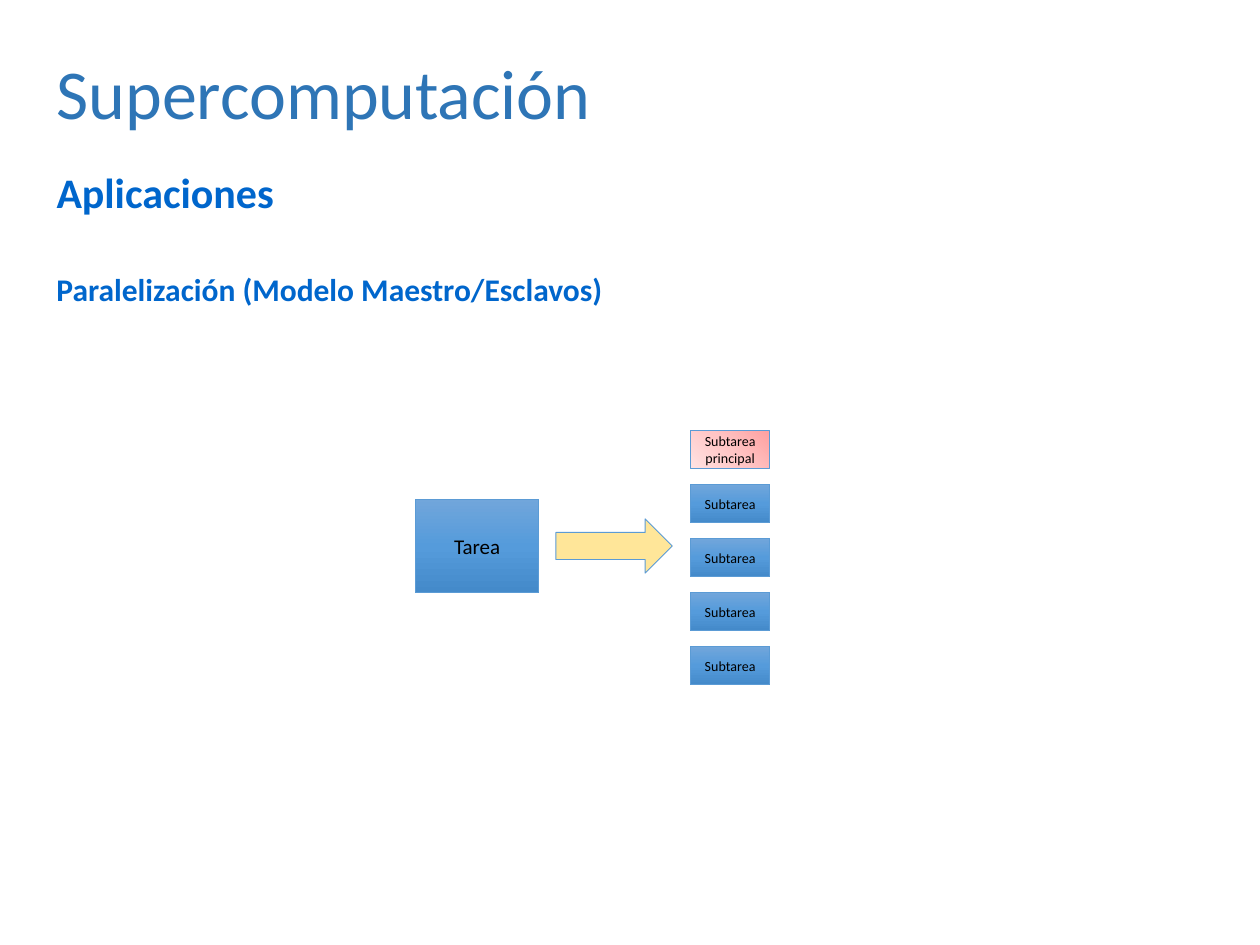
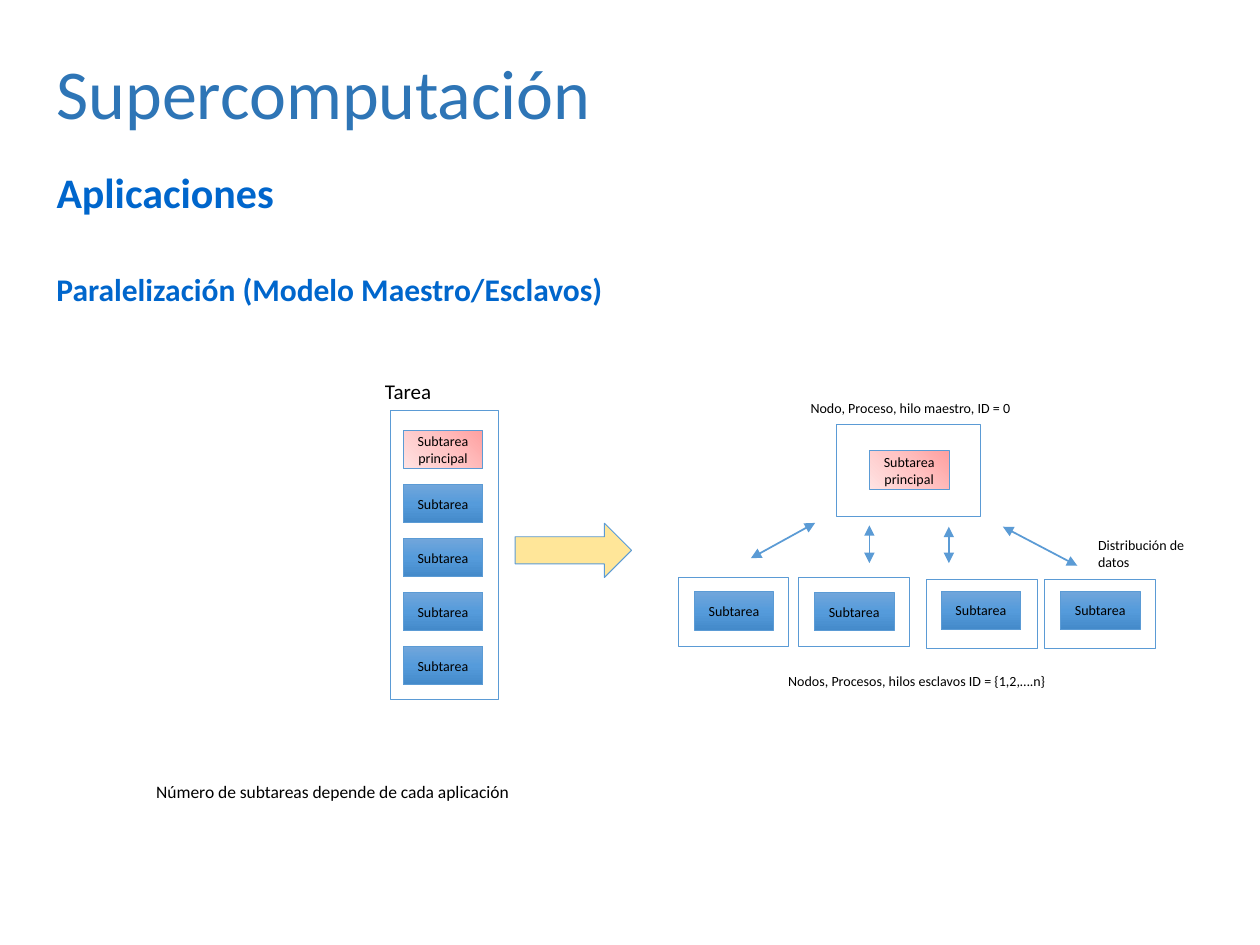
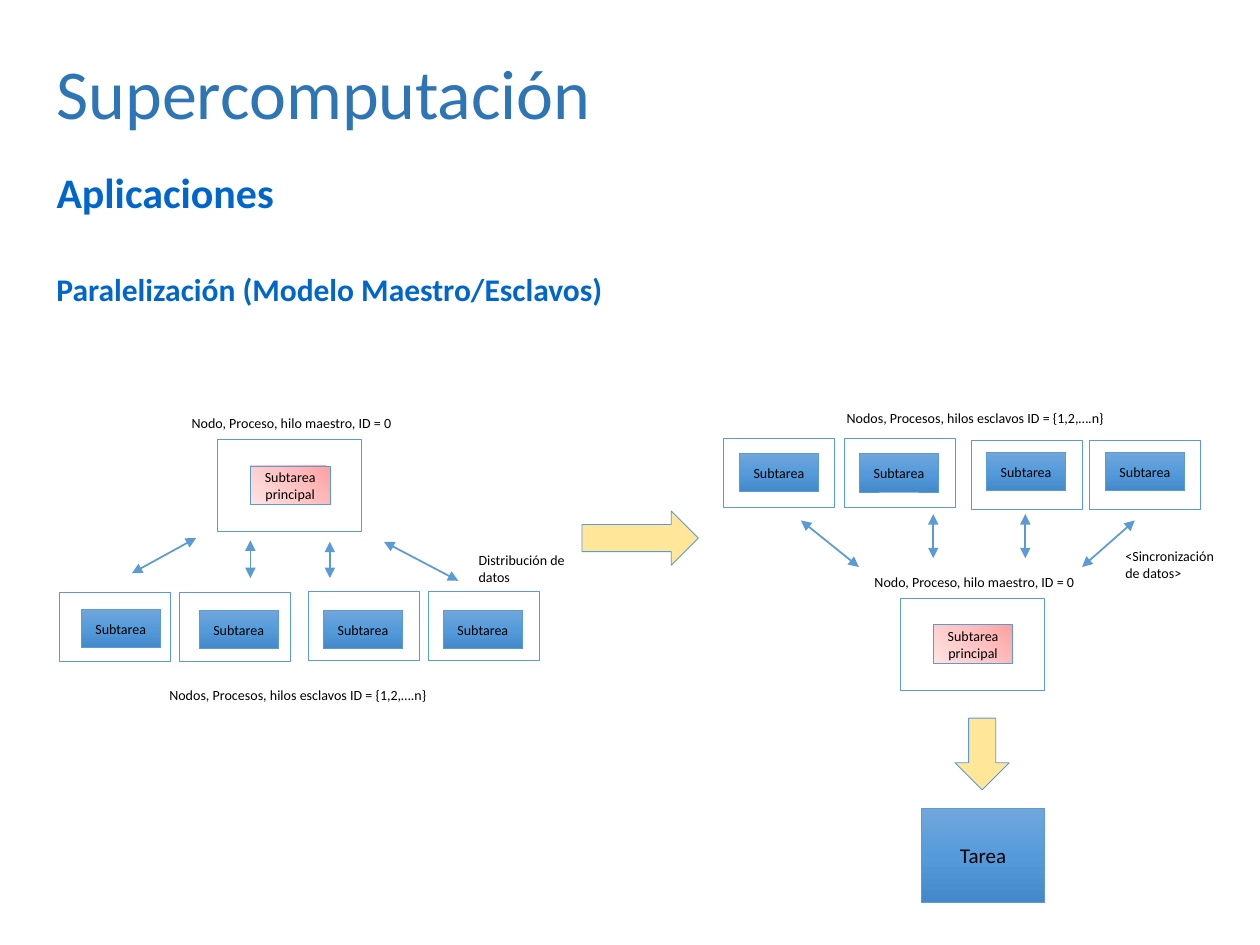
from copy import deepcopy

from pptx import Presentation
from pptx.dml.color import RGBColor
from pptx.enum.shapes import MSO_CONNECTOR, MSO_SHAPE
from pptx.enum.text import MSO_ANCHOR, PP_ALIGN
from pptx.oxml.ns import qn
from pptx.util import Pt

RECT, ARROW = MSO_SHAPE.RECTANGLE, MSO_SHAPE.RIGHT_ARROW
LINE = MSO_CONNECTOR.STRAIGHT
CENTER, MIDDLE = PP_ALIGN.CENTER, MSO_ANCHOR.MIDDLE

rgb = RGBColor.from_string
FONT = "Calibri"
BLACK, TITLE, HEAD, EDGE, GOLD = "000000", "2E75B6", "0066CC", "5B9BD5", "FFE699"
# Gradients: angle, then the colours at start, middle and end
BLUE = (270, "71A6DB", "559BDB", "448ACA")
PINK = (225, "FFA0A0", "FFC5C5", "FFE3E3")

SUB, MAIN, TASK = "Subtarea", "Subtarea principal", "Tarea"
SUB_W, SUB_H = 45.5, 22
TASK_W, TASK_H = 70.5, 53.5


def write(shape, text, size=8, colour=BLACK, bold=False):
    frame = shape.text_frame
    frame.word_wrap = True
    frame.text = text
    font = frame.paragraphs[0].runs[0].font
    font.name, font.size, font.bold = FONT, Pt(size), bold
    font.color.rgb = rgb(colour)


def box(page, x, y, w, h, text="", fill=None, size=8, kind=RECT):
    """Draw an outlined shape; fill is None, a colour or a gradient."""
    shape = page.shapes.add_shape(kind, Pt(x), Pt(y), Pt(w), Pt(h))
    shape.shadow.inherit = False
    shape.line.color.rgb = rgb(EDGE)
    shape.line.width = Pt(0.5)
    if fill is None:
        shape.fill.background()
    elif isinstance(fill, str):
        shape.fill.solid()
        shape.fill.fore_color.rgb = rgb(fill)
    else:
        shape.fill.gradient()
        shape.fill.gradient_angle = fill[0]
        stops = shape.element.find(".//" + qn("a:gsLst"))
        stops.append(deepcopy(stops[0]))
        for i, stop in enumerate(shape.fill.gradient_stops):
            stop.position = i / 2
            stop.color.rgb = rgb(fill[i + 1])
    if text:
        write(shape, text, size)
        shape.text_frame.vertical_anchor = MIDDLE
        shape.text_frame.paragraphs[0].alignment = CENTER
    return shape


deck = Presentation()
deck.slide_width, deck.slide_height = Pt(720), Pt(540)
pages = [deck.slides.add_slide(deck.slide_layouts[6]) for _ in range(3)]
split, share, merge = pages

# Headings on every slide
heads = [
    (24.5, 536, 55.5, "Supercomputación", 40, TITLE, False),
    (91.5, 140, 36, "Aplicaciones", 24, HEAD, True),
    (150.5, 612, 29, "Paralelización (Modelo Maestro/Esclavos)", 18, HEAD, True),
]
for page in pages:
    for y, w, h, text, size, colour, bold in heads:
        area = page.shapes.add_textbox(Pt(25.2), Pt(y), Pt(w), Pt(h))
        write(area, text, size, colour, bold)

# Whole tasks
for page, x, y in [(split, 237.4, 285.2), (merge, 526.5, 462)]:
    box(page, x, y, TASK_W, TASK_H, TASK, BLUE, 12)

# Columns of subtasks
for page, x in [(split, 394.5), (share, 230.4)]:
    for i in range(5):
        text, fill = (SUB, BLUE) if i else (MAIN, PINK)
        box(page, x, 246 + i * 30.85, SUB_W, SUB_H, text, fill)
box(share, 223.4, 234.6, 61.4, 165.2)

# Block arrows
for page, x, y in [(split, 317.7, 296.5), (share, 294.4, 299), (merge, 332.6, 292)]:
    box(page, x, y, 66.5, 31, fill=GOLD, kind=ARROW)
down = box(merge, 540.7, 415.4, 41, 31, fill=GOLD, kind=ARROW)
down.rotation = 90

# Master and slave diagrams; links are measured from the master's corner
fan_out = [(-49, 76.4, -12.3, 56.2), (137.5, 80.7, 95, 58.4),
           (18.7, 79.2, 18.7, 57.6), (64.1, 79.2, 64.1, 58.4)]
fan_in = [(-56.9, -44.6, -23.8, -18), (18.7, -48.2, 18.7, -23),
          (71.3, -48.2, 71.3, -23), (103.7, -18, 133.9, -44.6)]
# Each slave: node left and top, subtask left and top
plans = [
    (share, 478.1, 242.6, fan_out,
     [(387.4, 329.8, 396.7, 338.2), (456.5, 329.8, 465.4, 338.6),
      (529.2, 331.2, 537.8, 337.8), (596.9, 331.2, 606, 337.8)]),
    (merge, 124.4, 251.2, fan_out,
     [(33.8, 338.4, 46.3, 348.2), (102.8, 338.4, 113.7, 348.8),
      (176.2, 337.8, 184.7, 348.8), (244.8, 337.8, 253.2, 348.8)]),
    (merge, 514.6, 342, fan_in,
     [(413.3, 250.5, 422.4, 259), (482.4, 250.5, 491, 259.2),
      (555, 251.6, 563.6, 258.5), (622.6, 251.6, 631.5, 258.5)]),
]
for page, left, top, links, slaves in plans:
    box(page, left, top, 82.4, 52.6)
    box(page, left + 18.7, top + 15.1, SUB_W, SUB_H, MAIN, PINK)
    for x, y, sub_x, sub_y in slaves:
        box(page, x, y, 63.4, 39.6)
        box(page, sub_x, sub_y, SUB_W, SUB_H, SUB, BLUE)
    for x1, y1, x2, y2 in links:
        link = page.shapes.add_connector(
            LINE, Pt(left + x1), Pt(top + y1), Pt(left + x2), Pt(top + y2))
        link.line.color.rgb = rgb(EDGE)
        link.line.width = Pt(1)
        edge = link.line._get_or_add_ln()
        for end in ("a:headEnd", "a:tailEnd"):
            edge.append(edge.makeelement(qn(end), {"type": "triangle"}))
        props = link.element.spPr
        props.append(props.makeelement(qn("a:effectLst"), {}))
    caption = page.shapes.add_textbox(Pt(left - 22), Pt(top - 18), Pt(142), Pt(17))
    write(caption, "Nodo, Proceso, hilo maestro, ID = 0")

# Remaining labels
SLAVES = "Nodos, Procesos, hilos esclavos ID = {1,2,….n}"
SEND = "Distribución de datos"
labels = [
    (share, 443.3, 380.6, 172, 27, SLAVES, 8),
    (share, 620.4, 303.1, 71.5, 27, SEND, 8),
    (share, 212.9, 213, 69, 22, TASK, 12),
    (share, 82.2, 442.8, 243.5, 19.5, "Número de subtareas depende de cada aplicación", 10),
    (merge, 89.7, 388.8, 172, 27, SLAVES, 8),
    (merge, 266.4, 311.7, 71.5, 27, SEND, 8),
    (merge, 476.7, 230.4, 172, 27, SLAVES, 8),
    (merge, 636, 309.6, 71.5, 27, "<Sincronización de datos>", 8),
]
for page, x, y, w, h, text, size in labels:
    write(page.shapes.add_textbox(Pt(x), Pt(y), Pt(w), Pt(h)), text, size)

deck.save("out.pptx")
